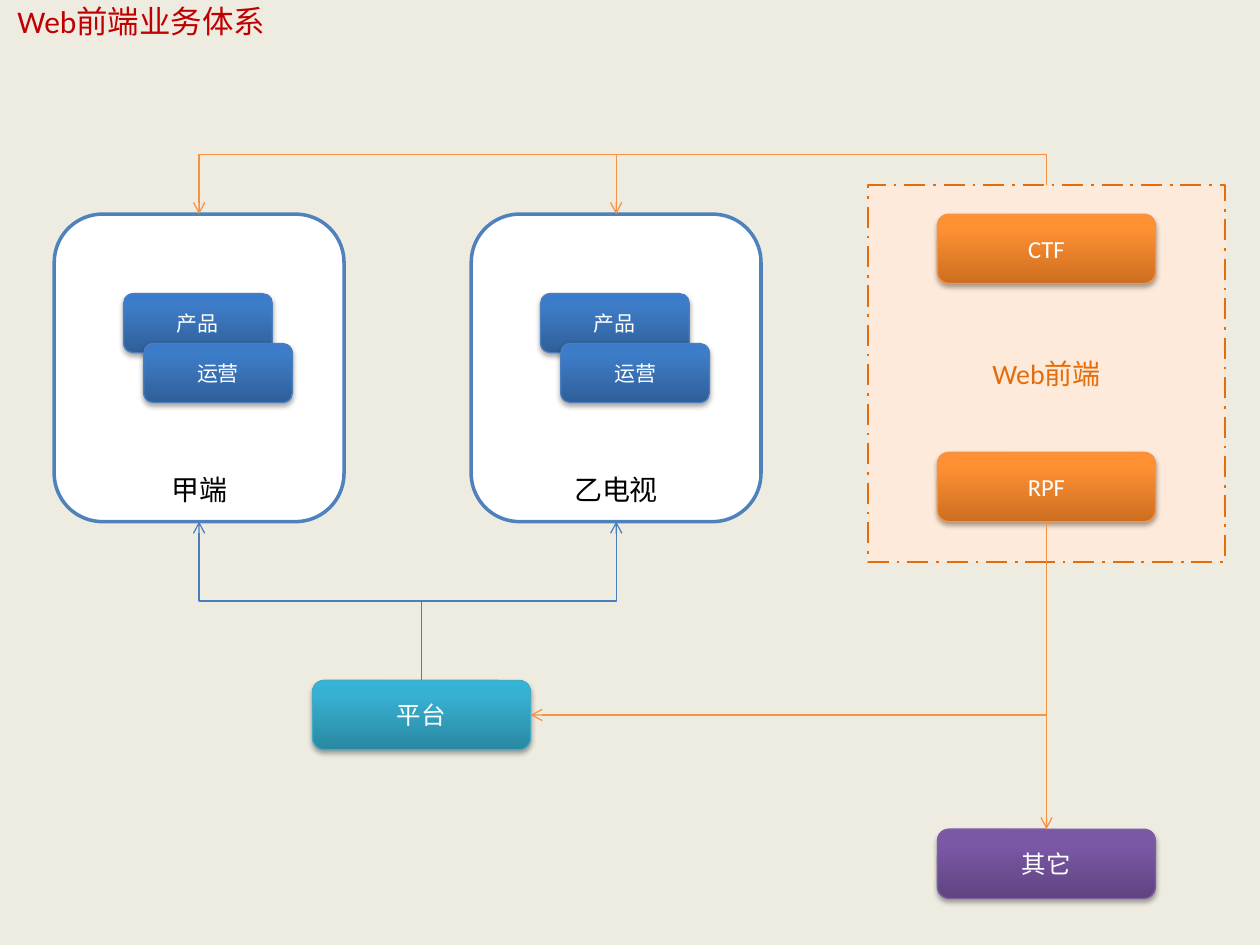
import copy

import pptx
import pptx.dml.color
import pptx.enum.dml
import pptx.enum.shapes
import pptx.enum.text
import pptx.oxml.ns
import pptx.oxml.xmlchemy
import pptx.util
from lxml import etree

Pt = pptx.util.Pt
qn = pptx.oxml.ns.qn
SHAPE = pptx.enum.shapes.MSO_SHAPE
LINK = pptx.enum.shapes.MSO_CONNECTOR
ALIGN = pptx.enum.text.PP_ALIGN
ANCHOR = pptx.enum.text.MSO_ANCHOR

COLORS = {
    "back": "EEECE1", "title": "C00000", "white": "FFFFFF", "black": "000000",
    "panel": "FDEADA", "frame": "E46C0A", "card": "4F81BD",
    "blue": "4B7EBC", "teal": "46AAC5", "orange": "F69240", "purple": "7D60A0",
}
FADES = {
    "blue": ("2F5F99", "3D7CC7", "3A7CCB"),
    "teal": ("2A88A2", "37B1D2", "34B4D6"),
    "orange": ("CC6E20", "FF9034", "FF9136"),
    "purple": ("5F4480", "7B58A6", "7C57A8"),
}
BOX_W, BOX_H = 124.6, 39.6


def rgb(text):
    return pptx.dml.color.RGBColor.from_string(text)


def write(shape, text, size, color, align=ALIGN.CENTER):
    para = shape.text_frame.paragraphs[0]
    para.text = text
    para.alignment = align
    para.font.name = "Calibri"
    para.font.size = Pt(size)
    para.font.color.rgb = rgb(COLORS[color])


def block(slide, kind, area, line, width):
    shape = slide.shapes.add_shape(kind, *map(Pt, area))
    shape.shadow.inherit = False
    shape.line.color.rgb = rgb(COLORS[line])
    shape.line.width = Pt(width)
    shape.text_frame.word_wrap = True
    shape.text_frame.vertical_anchor = ANCHOR.MIDDLE
    return shape


def flat(slide, kind, area, fill, line, width):
    shape = block(slide, kind, area, line, width)
    shape.fill.solid()
    shape.fill.fore_color.rgb = rgb(COLORS[fill])
    return shape


def fade(shape, hues):
    shape.fill.gradient()
    shape.fill.gradient_angle = 90
    stops = shape._element.spPr.find(".//" + qn("a:gsLst"))
    stops.insert(1, copy.deepcopy(stops[0]))
    for stop, place, hue in zip(shape.fill.gradient_stops, (0, 0.8, 1), hues):
        stop.position = place
        stop.color.rgb = rgb(hue)


def shade(shape):
    effects = shape._element.spPr.find(qn("a:effectLst"))
    drop = etree.SubElement(
        effects, qn("a:outerShdw"), blurRad=str(Pt(3.1)), dist=str(Pt(1.8)),
        dir="5400000", rotWithShape="0")
    hue = etree.SubElement(drop, qn("a:srgbClr"), val=COLORS["black"])
    etree.SubElement(hue, qn("a:alpha"), val="35000")


def box(slide, text, left, top, tone, wide=BOX_W, high=BOX_H, size=14):
    area = (left, top, wide, high)
    shape = block(slide, SHAPE.ROUNDED_RECTANGLE, area, tone, 0.75)
    fade(shape, FADES[tone])
    shade(shape)
    write(shape, text, size, "white")
    return shape


def card(slide, text, left, top):
    area = (left, top, 165.6, 175.7)
    shape = flat(slide, SHAPE.ROUNDED_RECTANGLE, area, "white", "card", 2)
    shape.text_frame.vertical_anchor = ANCHOR.BOTTOM
    shape.text_frame.margin_bottom = Pt(1)
    write(shape, text, 16, "black")
    for step, label in enumerate(("产品", "运营")):
        box(slide, label, left + 39.6 + 11.5 * step, top + 45.4 + 28.5 * step,
            "blue", 85, 33.8, 12)


def link(slide, kind, start, end, tone):
    wire = slide.shapes.add_connector(kind, *map(Pt, start + end))
    wire.line.color.rgb = rgb(COLORS[tone])
    wire.line.width = Pt(0.75)
    props = wire._element.spPr
    etree.SubElement(props.find(qn("a:ln")), qn("a:tailEnd"), type="arrow")
    etree.SubElement(props, qn("a:effectLst"))
    return wire


def bend(slide, start, end, tone, preset="bentConnector3", ratio=None):
    mid_x, mid_y = (start[0] + end[0]) / 2, (start[1] + end[1]) / 2
    half_x, half_y = (end[0] - start[0]) / 2, (end[1] - start[1]) / 2
    wire = link(slide, LINK.ELBOW, (mid_x - half_y, mid_y + half_x),
                (mid_x + half_y, mid_y - half_x), tone)
    props = wire._element.spPr
    props.find(qn("a:xfrm")).set("rot", "5400000")
    geom = props.find(qn("a:prstGeom"))
    geom.set("prst", preset)
    if ratio is not None:
        etree.SubElement(geom.find(qn("a:avLst")), qn("a:gd"), name="adj1",
                         fmla=f"val {round(ratio * 100000)}")


def main():
    deck = pptx.Presentation()
    deck.slide_width, deck.slide_height = Pt(720), Pt(540)
    slide = deck.slides.add_slide(deck.slide_layouts[6])
    slide.background.fill.solid()
    slide.background.fill.fore_color.rgb = rgb(COLORS["back"])

    panel = flat(slide, SHAPE.RECTANGLE, (496, 105.8, 204, 215.3),
                 "panel", "frame", 1.5)
    panel.line.dash_style = pptx.enum.dml.MSO_LINE.LONG_DASH_DOT
    write(panel, "Web前端", 16, "frame")

    title = slide.shapes.add_textbox(*map(Pt, (2.9, -2.2, 329, 29)))
    title.text_frame.word_wrap = True
    write(title, "Web前端业务体系", 18, "title", ALIGN.LEFT)

    top, low = 122.4, 298.1
    lefts = (31, 269.3)
    for text, left in zip(("甲端", "乙电视"), lefts):
        card(slide, text, left, top)

    side, axis = 535.7, 598
    box(slide, "平台", 178.6, 388.8, "teal")
    box(slide, "CTF", side, top, "orange")
    source = box(slide, "RPF", side, low - BOX_H, "orange")
    other = box(slide, "其它", side, 473.8, "purple")

    for left in lefts:
        center = left + 82.8
        bend(slide, (240.9, 388.8), (center, low), "blue")
        bend(slide, (axis, 105.8), (center, top), "orange", ratio=-1.06)
    bend(slide, (axis, low), (178.6 + BOX_W, 408.6), "orange", "bentConnector2")

    wire = link(slide, LINK.STRAIGHT, (axis, low), (axis, 473.8), "orange")
    wire.begin_connect(source, 2)
    wire.end_connect(other, 0)

    deck.save("out.pptx")


if __name__ == "__main__":
    main()
